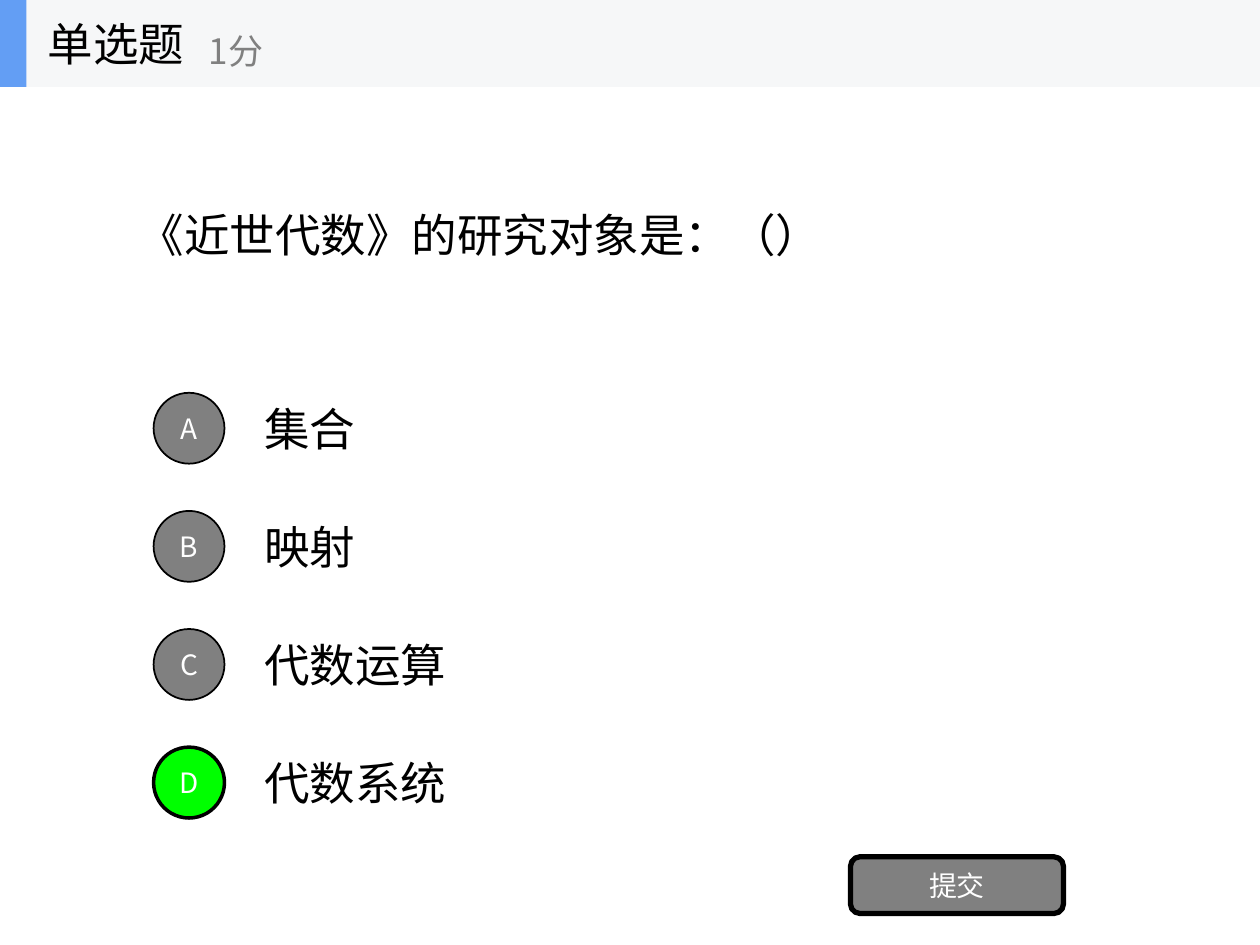
import pptx
import pptx.util
import pptx.dml.color
import pptx.enum.shapes
import pptx.enum.text
import pptx.oxml
import pptx.oxml.ns
from dataclasses import dataclass

# Content
KIND, SCORE = "单选题", "1分"
ASK = "《近世代数》的研究对象是：（）"
PICKS = [("A", "集合"), ("B", "映射"), ("C", "代数运算"), ("D", "代数系统")]
RIGHT = "D"
SEND = "提交"


@dataclass(frozen=True)
class Theme:
    font: str = "Noto Sans CJK SC"
    ink: str = "000000"
    white: str = "FFFFFF"
    gray: str = "808080"
    green: str = "00FF00"
    band: str = "F6F7F8"
    blue: str = "639EF4"
    big: int = 26
    mid: int = 20
    small: int = 16


T = Theme()
# Grid: ten columns and eight rows
WIDE, HIGH = 10, 7.5
COL, ROW = WIDE / 10, HIGH / 8
BAR = 0.69              # header height
TOP = 3.25 * ROW        # first option
LINE = 0.75 * ROW       # option height
DOT = 0.6 * ROW         # circle size

SHAPE = pptx.enum.shapes.MSO_SHAPE
ALIGN = pptx.enum.text.PP_ALIGN
inch = pptx.util.Inches
rgb = pptx.dml.color.RGBColor.from_string


def write(item, text, size, color, align=ALIGN.LEFT, pad=0.1):
    frame = item.text_frame
    frame.text = text
    frame.word_wrap = True
    frame.auto_size = pptx.enum.text.MSO_AUTO_SIZE.NONE
    frame.vertical_anchor = pptx.enum.text.MSO_ANCHOR.MIDDLE
    frame.margin_left = frame.margin_right = inch(pad)
    frame.margin_top = frame.margin_bottom = inch(pad / 2)
    para = frame.paragraphs[0]
    para.alignment = align
    font = para.font
    font.name, font.size = T.font, pptx.util.Pt(size)
    font.color.rgb = rgb(color)
    # Chinese glyphs take the East Asian face
    props = para._p.pPr.find(pptx.oxml.ns.qn("a:defRPr"))
    face = pptx.oxml.parse_xml(
        f'<a:ea {pptx.oxml.ns.nsdecls("a")} typeface="{T.font}"/>')
    props.append(face)


def label(home, box, text, size, color):
    write(home.add_textbox(*map(inch, box)), text, size, color)


def block(home, kind, box, fill, line=0, text=""):
    item = home.add_shape(kind, *map(inch, box))
    item.shadow.inherit = False
    item.fill.solid()
    item.fill.fore_color.rgb = rgb(fill)
    if line:
        item.line.color.rgb = rgb(T.ink)
        item.line.width = pptx.util.Pt(line)
    else:
        item.line.fill.background()
    if text:
        write(item, text, T.small, T.white, ALIGN.CENTER, 0)


def main():
    deck = pptx.Presentation()
    deck.slide_width, deck.slide_height = inch(WIDE), inch(HIGH)
    slide = deck.slides.add_slide(deck.slide_layouts[5])
    shapes = slide.shapes

    # Question
    title = shapes.title
    title.left, title.top = inch(COL), inch(BAR)
    title.width, title.height = inch(8 * COL), inch(2.5 * ROW)
    write(title, ASK, T.big, T.ink)

    # Options
    for i, (mark, text) in enumerate(PICKS):
        top = TOP + i * ROW
        label(shapes, (2 * COL, top, 7 * COL, LINE), text, T.big, T.ink)
        box = (1.5 * COL - DOT / 2, top + (LINE - DOT) / 2, DOT, DOT)
        hit = mark == RIGHT
        block(shapes, SHAPE.OVAL, box, T.green if hit else T.gray,
              2 if hit else 1, mark)

    # Submit button
    block(shapes, SHAPE.ROUNDED_RECTANGLE, (6.75, 6.8, 1.69, 0.45),
          T.gray, 3, SEND)

    # Header
    head = shapes.add_group_shape().shapes
    block(head, SHAPE.RECTANGLE, (0, 0, WIDE, BAR), T.band)
    block(head, SHAPE.RECTANGLE, (0, 0, 0.21, BAR), T.blue)
    label(head, (0.28, 0, 2.08, BAR), KIND, T.big, T.ink)
    label(head, (1.56, 0.12, 2.5, 0.56), SCORE, T.mid, T.gray)

    deck.save("out.pptx")


if __name__ == "__main__":
    main()
